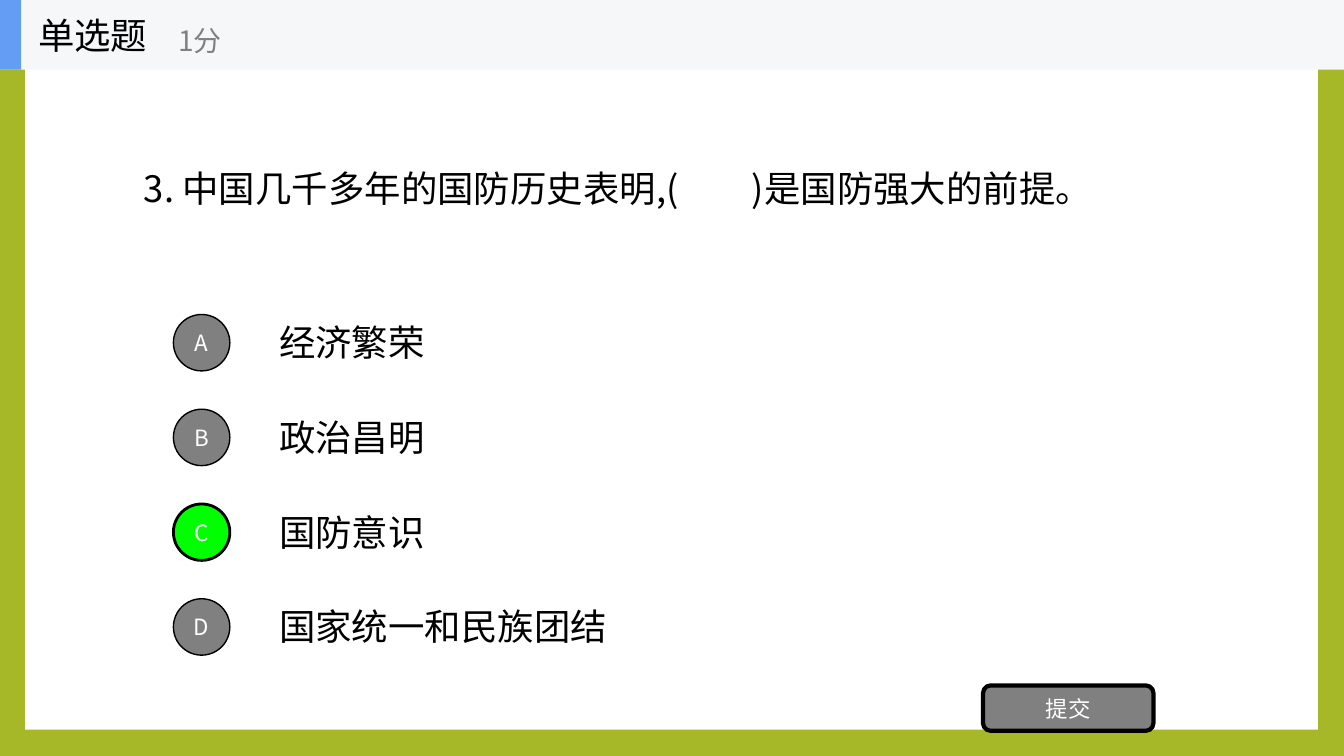
"""Build a single-choice quiz slide with four options and a submit button."""
from lxml import etree
from pptx import Presentation
from pptx import util as u
from pptx.dml import color
from pptx.enum import shapes, text
from pptx.oxml import ns

HUES = {"olive": "A6B727", "white": "FFFFFF", "black": "000000", "gray": "808080",
        "green": "00FF00", "pale": "F6F7F8", "blue": "639EF4"}
FONT = "Noto Sans CJK SC"
KIND = shapes.MSO_SHAPE


def write(item, words, size, hue, wrap=True):
    frame = item.text_frame
    frame.text = words
    frame.word_wrap = wrap
    frame.vertical_anchor = text.MSO_ANCHOR.MIDDLE
    for run in frame.paragraphs[0].runs:
        run.font.size = u.Pt(size)
        run.font.name = FONT
        run.font.color.rgb = color.RGBColor.from_string(HUES[hue])
        east = etree.SubElement(run.font._element, ns.qn("a:ea"))
        east.set("typeface", FONT)
    return frame


def draw(home, kind, box, fill, line=0, label=""):
    item = home.add_shape(kind, *map(u.Inches, box))
    item.shadow.inherit = False
    item.fill.solid()
    item.fill.fore_color.rgb = color.RGBColor.from_string(HUES[fill])
    if line:
        item.line.color.rgb = color.RGBColor.from_string(HUES["black"])
        item.line.width = u.Pt(line)
    else:
        item.line.fill.background()
    if label:
        frame = write(item, label, 16, "white")
        frame.paragraphs[0].alignment = text.PP_ALIGN.CENTER


deck = Presentation()
deck.slide_width, deck.slide_height = u.Inches(13.33), u.Inches(7.5)
slide = deck.slides.add_slide(deck.slide_layouts[6])
slide.background.fill.solid()
slide.background.fill.fore_color.rgb = color.RGBColor.from_string(HUES["olive"])
page = slide.shapes
draw(page, KIND.RECTANGLE, (0.25, 0.27, 12.82, 6.97), "white")

quiz = page.add_textbox(*map(u.Inches, (1.33, 1.6, 9.74, 0.53)))
frame = write(quiz, "3. 中国几千多年的国防历史表明,(\t)是国防强大的前提。", 26, "black")
props = frame.paragraphs[0]._p.get_or_add_pPr()
tabs = etree.SubElement(props, ns.qn("a:tabLst"))
etree.SubElement(tabs, ns.qn("a:tab"), pos=str(u.Inches(6.03)), algn="l")

options = [("A", "经济繁荣", 1.75), ("B", "政治昌明", 1.75),
           ("C", "国防意识", 2.11), ("D", "国家统一和民族团结", 3.56)]
for row, (mark, words, width) in enumerate(options):
    top = 3.12 + row * 0.94
    right = mark == "C"
    choice = page.add_textbox(*map(u.Inches, (2.67, top + 0.01, width, 0.53)))
    write(choice, words, 26, "black")
    draw(page, KIND.OVAL, (1.72, top, 0.56, 0.56),
         "green" if right else "gray", 2 if right else 1, mark)

draw(page, KIND.ROUNDED_RECTANGLE, (9.75, 6.8, 1.69, 0.45), "gray", 3, "提交")

head = page.add_group_shape().shapes
draw(head, KIND.RECTANGLE, (0, 0, 13.33, 0.69), "pale")
draw(head, KIND.RECTANGLE, (0, 0, 0.21, 0.69), "blue")
title = head.add_textbox(*map(u.Inches, (0.28, 0, 2.08, 0.69)))
write(title, "单选题", 26, "black", False)
score = head.add_textbox(*map(u.Inches, (1.67, 0.12, 2.5, 0.56)))
write(score, "1分", 20, "gray", False)

deck.save("out.pptx")
